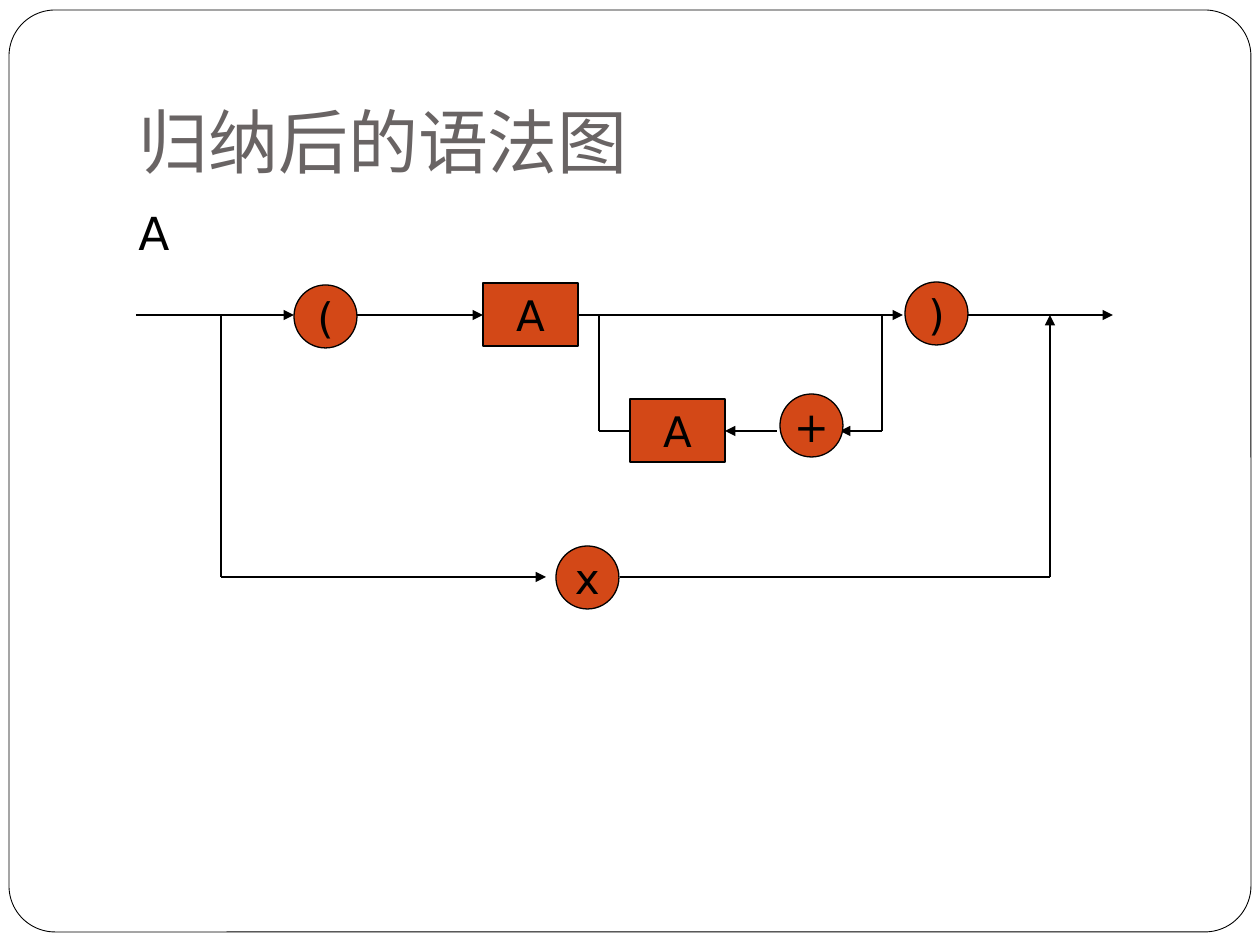
"""Build the slide showing the reduced syntax diagram of A."""
from dataclasses import dataclass

import lxml.etree
import pptx
import pptx.dml.color
import pptx.enum.shapes
import pptx.enum.text
import pptx.oxml.ns
import pptx.util

RGBColor = pptx.dml.color.RGBColor
Shape = pptx.enum.shapes.MSO_SHAPE
Anchor = pptx.enum.text.MSO_ANCHOR
Align = pptx.enum.text.PP_ALIGN

SCALE = 914400 / 126
FONT = "DejaVu Sans"
BLACK = RGBColor(0x00, 0x00, 0x00)
WHITE = RGBColor(0xFF, 0xFF, 0xFF)
GREY = RGBColor(0x69, 0x64, 0x64)
ORANGE = RGBColor(0xD3, 0x48, 0x17)

MAIN_Y, LOOP_Y, BYPASS_Y = 315, 431, 577
LOOP_LEFT, LOOP_RIGHT = 599, 882
BYPASS_LEFT, BYPASS_RIGHT = 221, 1050
NODE_HEIGHT = 63


@dataclass(frozen=True)
class Node:
    label: str
    left: int
    top: int
    terminal: bool = True


@dataclass(frozen=True)
class Track:
    points: tuple[tuple[int, int], ...]
    arrow: bool = True


NODES = (
    Node("(", 294, 285),
    Node("A", 483, 283, terminal=False),
    Node(")", 905, 282),
    Node("A", 630, 399, terminal=False),
    Node("+", 780, 394),
    Node("x", 556, 546),
)

TRACKS = (
    Track(((136, MAIN_Y), (294, MAIN_Y))),
    Track(((357, MAIN_Y), (483, MAIN_Y))),
    Track(((578, MAIN_Y), (903, MAIN_Y))),
    Track(((967, MAIN_Y), (1113, MAIN_Y))),
    Track(((LOOP_RIGHT, MAIN_Y), (LOOP_RIGHT, LOOP_Y), (840, LOOP_Y))),
    Track(((777, LOOP_Y), (725, LOOP_Y))),
    Track(((630, LOOP_Y), (LOOP_LEFT, LOOP_Y), (LOOP_LEFT, MAIN_Y)), arrow=False),
    Track(((BYPASS_LEFT, MAIN_Y), (BYPASS_LEFT, BYPASS_Y), (546, BYPASS_Y))),
    Track(((620, BYPASS_Y), (BYPASS_RIGHT, BYPASS_Y), (BYPASS_RIGHT, MAIN_Y))),
)


def emu(*pixels: int) -> list[int]:
    return [round(value * SCALE) for value in pixels]


def apply(target, values: dict) -> None:
    for name, value in values.items():
        setattr(target, name, value)


def write(shape, text: str, size: int, color: RGBColor, frame: dict, paragraph: dict) -> None:
    apply(shape.text_frame, frame)
    para = shape.text_frame.paragraphs[0]
    apply(para, paragraph)
    span = para.add_run()
    span.text = text
    apply(span.font, {"size": pptx.util.Pt(size), "name": FONT})
    span.font.color.rgb = color
    properties = span.font._element
    for tag in ("a:ea", "a:cs"):
        face = lxml.etree.SubElement(properties, pptx.oxml.ns.qn(tag))
        face.set("typeface", FONT)


def add_box(page, kind, bounds: tuple[int, int, int, int], fill: RGBColor, width: float):
    box = page.shapes.add_shape(kind, *emu(*bounds))
    box.shadow.inherit = False
    box.fill.solid()
    box.fill.fore_color.rgb = fill
    box.line.color.rgb = BLACK
    box.line.width = pptx.util.Pt(width)
    return box


def add_node(page, node: Node) -> None:
    kind, width = (Shape.OVAL, NODE_HEIGHT) if node.terminal else (Shape.RECTANGLE, 95)
    box = add_box(page, kind, (node.left, node.top, width, NODE_HEIGHT), ORANGE, 0.75)
    write(box, node.label, 24, BLACK,
          {"word_wrap": False, "vertical_anchor": Anchor.MIDDLE}, {"alignment": Align.CENTER})


def add_track(page, track: Track) -> None:
    straight = pptx.enum.shapes.MSO_CONNECTOR.STRAIGHT
    for start, end in zip(track.points, track.points[1:]):
        line = page.shapes.add_connector(straight, *emu(*start, *end))
        line.line.color.rgb = BLACK
        line.line.width = pptx.util.Pt(0.75)
        properties = line._element.spPr
        if track.arrow and end == track.points[-1]:
            outline = properties.find(pptx.oxml.ns.qn("a:ln"))
            tip = lxml.etree.SubElement(outline, pptx.oxml.ns.qn("a:tailEnd"))
            tip.set("type", "triangle")
        lxml.etree.SubElement(properties, pptx.oxml.ns.qn("a:effectLst"))


def main() -> None:
    deck = pptx.Presentation()
    deck.slide_width, deck.slide_height = emu(1260, 945)
    page = deck.slides.add_slide(deck.slide_layouts[6])

    border = add_box(page, Shape.ROUNDED_RECTANGLE, (9, 10, 1242, 922), WHITE, 0.5)
    border.adjustments[0] = 0.05

    title = page.shapes.add_textbox(*emu(126, 38, 1071, 157))
    write(title, "归纳后的语法图", 40, GREY,
          {"word_wrap": True, "vertical_anchor": Anchor.BOTTOM,
           "margin_bottom": pptx.util.Inches(0.1)}, {})

    rule = page.shapes.add_textbox(*emu(126, 199, 1071, 630))
    write(rule, "A", 26, BLACK, {"word_wrap": True}, {"space_before": pptx.util.Pt(5.8)})

    for track in TRACKS:
        add_track(page, track)
    for node in NODES:
        add_node(page, node)
    deck.save("out.pptx")


if __name__ == "__main__":
    main()
